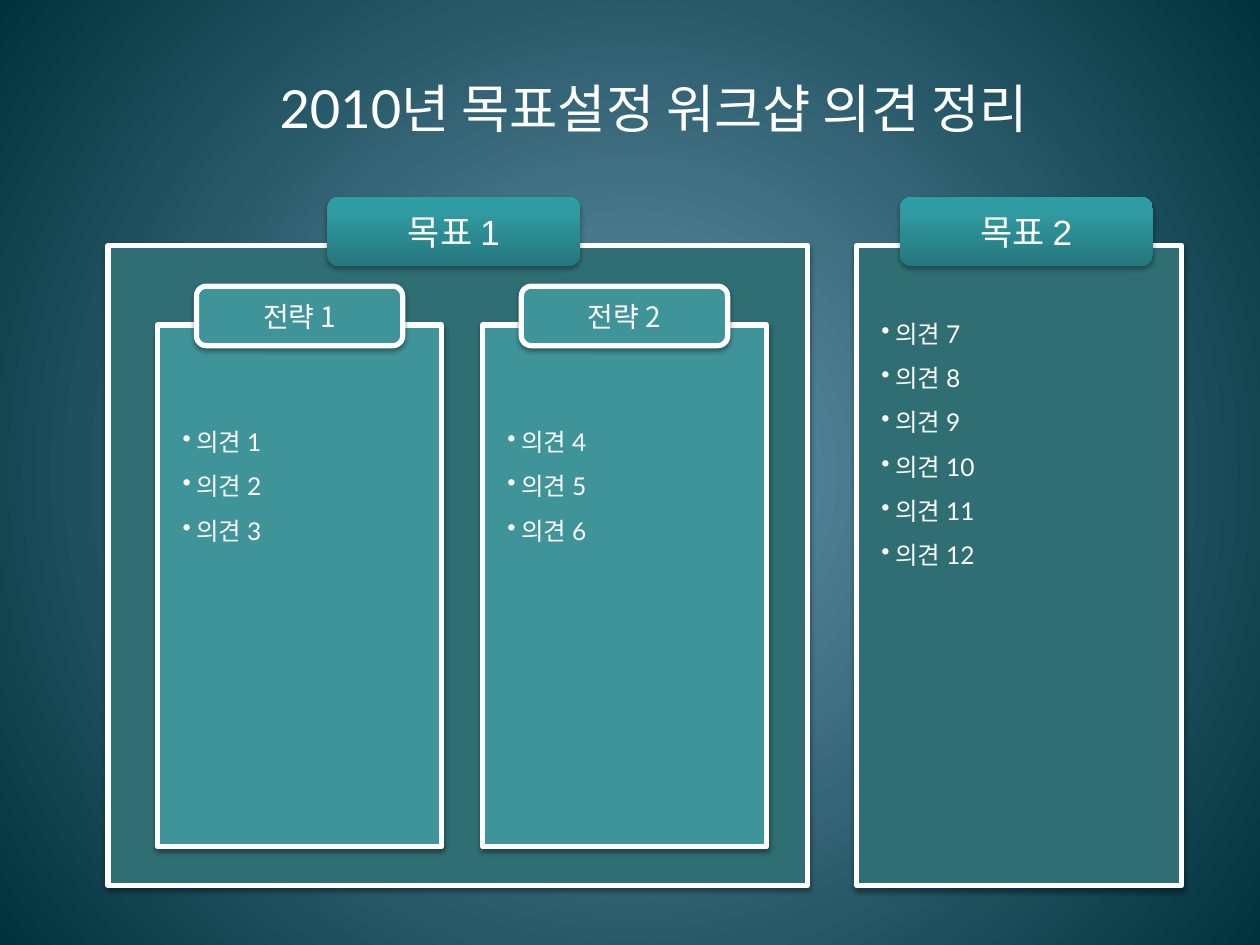
from copy import deepcopy
from dataclasses import dataclass

from lxml.etree import SubElement
from pptx import Presentation
from pptx.dml.color import RGBColor as Rgb
from pptx.enum.shapes import MSO_SHAPE as Shape
from pptx.enum.text import MSO_ANCHOR as Anchor, MSO_AUTO_SIZE as AutoSize, PP_ALIGN as Align
from pptx.oxml.ns import qn
from pptx.util import Cm, Pt


@dataclass(frozen=True)
class Theme:
    white: str = "FFFFFF"
    glow: str = "6796AE"
    edge: str = "00323C"
    goal: str = "2F6F74"
    strategy: str = "3F949A"
    tab: tuple = ((0, "25777D"), (0.8, "309BA2"), (1, "2E9EA5"))
    latin: str = "Lato"
    tab_font: str = "Arial"
    korean: str = "Noto Sans CJK KR"
    title_size: int = 30
    tab_size: int = 20
    strategy_size: int = 16
    body_size: int = 14
    border: int = 3


theme = Theme()


def write(box, text, *, size, font, align=Align.CENTER, anchor=Anchor.MIDDLE,
          inset=None, bullet=False, spacing=None):
    frame = box.text_frame
    frame.word_wrap = True
    frame.auto_size = AutoSize.NONE
    frame.vertical_anchor = anchor
    if inset:
        frame.margin_left = frame.margin_right = Cm(inset[0])
        frame.margin_top, frame.margin_bottom = Cm(inset[1]), Cm(inset[2])
    for index, line in enumerate(text.split("\n")):
        para = frame.add_paragraph() if index else frame.paragraphs[0]
        para.alignment = align
        if spacing:
            para.line_spacing = spacing
        if bullet:
            props = para._p.get_or_add_pPr()
            props.set("marL", str(Cm(0.28)))
            props.set("indent", str(-Cm(0.28)))
            SubElement(props, qn("a:buChar"), char="•")
        span = para.add_run()
        span.text = line
        span.font.size = Pt(size)
        span.font.name = font
        span.font.color.rgb = Rgb.from_string(theme.white)
        SubElement(span._r.get_or_add_rPr(), qn("a:ea"), typeface=theme.korean)


def add_box(kind, left, top, width, height, fill, *, dist=1.6, alpha=38):
    box = page.shapes.add_shape(kind, Cm(left), Cm(top), Cm(width), Cm(height))
    if isinstance(fill, str):
        box.fill.solid()
        box.fill.fore_color.rgb = Rgb.from_string(fill)
        box.line.color.rgb = Rgb.from_string(theme.white)
        box.line.width = Pt(theme.border)
    else:
        box.fill.gradient()
        box.fill.gradient_angle = 90
        stop_list = box._element.spPr.find(".//" + qn("a:gsLst"))
        stop_list.append(deepcopy(stop_list[-1]))
        for stop, (position, color) in zip(box.fill.gradient_stops, fill):
            stop.position = position
            stop.color.rgb = Rgb.from_string(color)
        box.line.fill.background()
    box.shadow.inherit = False
    effects = box._element.spPr.find(qn("a:effectLst"))
    shadow = SubElement(effects, qn("a:outerShdw"), blurRad=str(Pt(3.1)),
                        dist=str(Pt(dist)), dir="5400000", rotWithShape="0")
    tone = SubElement(shadow, qn("a:srgbClr"), val="000000")
    SubElement(tone, qn("a:alpha"), val=str(alpha * 1000))
    return box


deck = Presentation()
deck.slide_width, deck.slide_height = Cm(25.4), Cm(19.05)
page = deck.slides.add_slide(deck.slide_layouts[5])

backdrop = page.background.fill
backdrop.gradient()
for stop, position, color in zip(backdrop.gradient_stops, (0, 1), (theme.glow, theme.edge)):
    stop.position = position
    stop.color.rgb = Rgb.from_string(color)
gradient = page._element.find(".//" + qn("a:gradFill"))
gradient.remove(gradient.find(qn("a:lin")))
circle = SubElement(gradient, qn("a:path"), path="circle")
SubElement(circle, qn("a:fillToRect"), l="50000", t="50000", r="50000", b="50000")

title = page.shapes.title
title.left, title.top, title.width, title.height = Cm(1.75), Cm(0.58), Cm(22.86), Cm(3.18)
write(title, "2010년 목표설정 워크샵 의견 정리", size=theme.title_size, font=theme.latin)

goals = [
    ("목표 1", 2.18, 14.1, 6.6, None),
    ("목표 2", 17.27, 6.55, 18.14, range(7, 13)),
]
strategies = [("전략 1", range(1, 4)), ("전략 2", range(4, 7))]
list_style = dict(size=theme.body_size, font=theme.latin, align=Align.LEFT,
                  anchor=Anchor.TOP, bullet=True, spacing=1.5)

for name, left, width, tab_left, opinions in goals:
    panel = add_box(Shape.RECTANGLE, left, 4.95, width, 12.9, theme.goal)
    if opinions:
        write(panel, "\n".join(f"의견 {number}" for number in opinions),
              inset=(0.5, 1.19, 0.3), **list_style)
    tab = add_box(Shape.ROUNDED_RECTANGLE, tab_left, 3.97, 5.1, 1.4, theme.tab,
                  dist=1.8, alpha=35)
    write(tab, name, size=theme.tab_size, font=theme.tab_font)

for column, (name, opinions) in enumerate(strategies):
    left = 3.18 + column * 6.55
    panel = add_box(Shape.RECTANGLE, left, 6.55, 5.72, 10.52, theme.strategy)
    write(panel, "\n".join(f"의견 {number}" for number in opinions),
          inset=(0.5, 1.77, 0.3), **list_style)
    tab = add_box(Shape.ROUNDED_RECTANGLE, left + 0.78, 5.77, 4.16, 1.2, theme.strategy)
    write(tab, name, size=theme.strategy_size, font=theme.korean)

deck.save("out.pptx")
